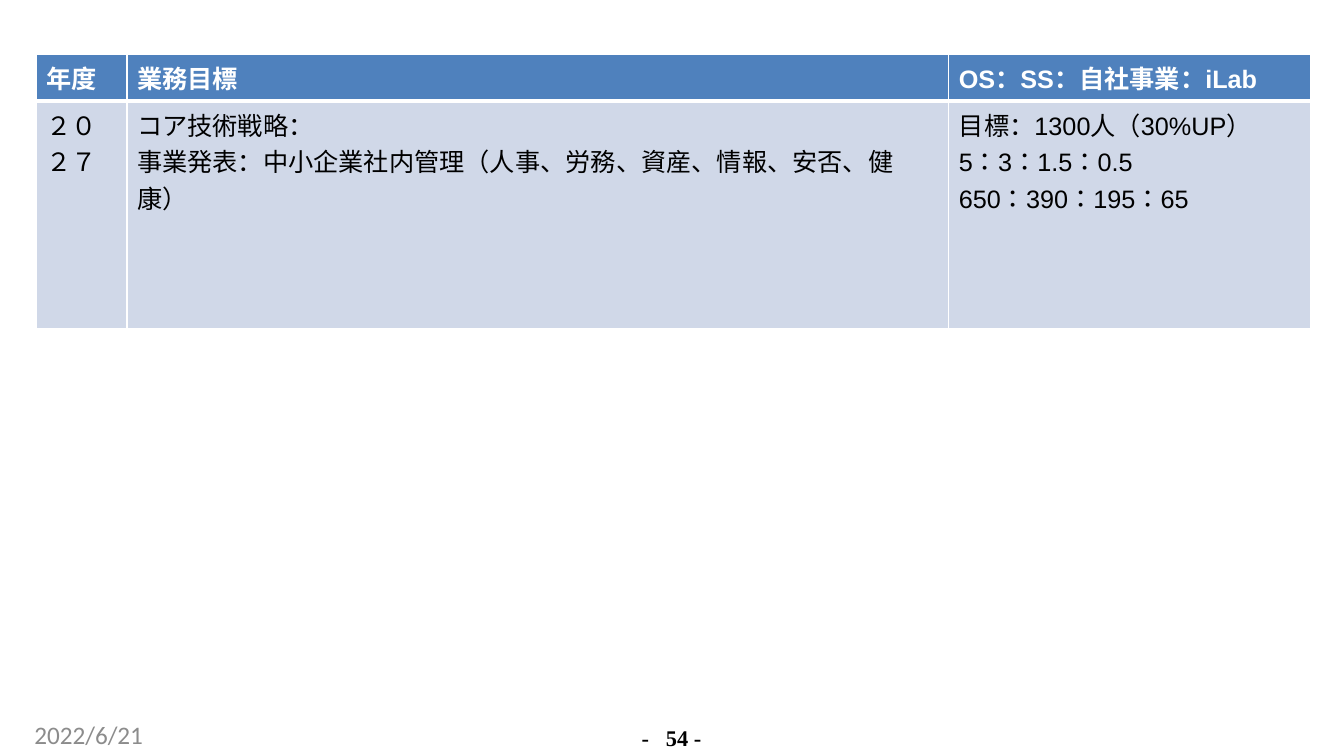
"""Build the business goal table slide for fiscal 2027."""
import pptx
import pptx.dml.color
import pptx.enum.text
import pptx.oxml
import pptx.oxml.ns
import pptx.util

Inches = pptx.util.Inches
Pt = pptx.util.Pt
RGBColor = pptx.dml.color.RGBColor

HEADER = ["年度", "業務目標", "OS：SS：自社事業：iLab"]
GOALS = [
    "２０２７",
    "コア技術戦略：\n事業発表：中小企業社内管理（人事、労務、資産、情報、安否、健康）",
    "目標：1300人（30%UP）\n5：3：1.5：0.5\n650：390：195：65",
]
COLUMN_WIDTHS = [0.9, 8.15, 3.59]
ROW_HEIGHTS = [0.46, 2.26]
DATE = "2022/6/21"
PAGE_NUMBER = "-\t54 -"

WHITE = RGBColor(0xFF, 0xFF, 0xFF)
BLACK = RGBColor(0, 0, 0)
GRAY = RGBColor(0x8C, 0x8C, 0x8C)
BLUE = RGBColor(0x4F, 0x81, 0xBD)
PALE_BLUE = RGBColor(0xD0, 0xD8, 0xE8)

ROW_STYLES = [
    {"fill": BLUE, "color": WHITE, "bold": True, "borders": {"L": 1, "R": 1, "T": 1, "B": 3}},
    {"fill": PALE_BLUE, "color": BLACK, "bold": False, "borders": {"L": 1, "R": 1, "T": 3, "B": 1}},
]


def add_element(parent, tag, content="", position=None):
    namespace = pptx.oxml.ns.nsdecls("a")
    name = tag.split()[0]
    element = pptx.oxml.parse_xml(f"<a:{tag} {namespace}>{content}</a:{name}>")
    parent.insert(len(parent) if position is None else position, element)


def write_text(frame, text, size=18, font="Arial", color=BLACK, bold=False):
    for index, line in enumerate(text.split("\n")):
        para = frame.paragraphs[0] if index == 0 else frame.add_paragraph()
        span = para.add_run()
        span.text = line
        span.font.size = Pt(size)
        span.font.name = font
        span.font.bold = bold
        span.font.color.rgb = color
        add_element(span.font._element, 'ea typeface="Noto Sans CJK JP"')


def add_text_box(page, left, top, width, height, text, **style):
    frame = page.shapes.add_textbox(
        Inches(left), Inches(top), Inches(width), Inches(height)).text_frame
    frame.word_wrap = True
    frame.margin_left = frame.margin_right = frame.margin_top = frame.margin_bottom = 0
    write_text(frame, text, **style)
    return frame.paragraphs[0]


def style_cell(cell, text, fill, color, bold, borders):
    cell.fill.solid()
    cell.fill.fore_color.rgb = fill
    write_text(cell.text_frame, text, color=color, bold=bold)
    properties = cell._tc.get_or_add_tcPr()
    for position, (side, width) in enumerate(borders.items()):
        add_element(properties, f'ln{side} w="{Pt(width)}"',
                    f'<a:solidFill><a:srgbClr val="{WHITE}"/></a:solidFill>', position)


def add_goal_table(page):
    rows = [HEADER, GOALS]
    table = page.shapes.add_table(
        len(rows), len(HEADER), Inches(0.36), Inches(0.54),
        Inches(sum(COLUMN_WIDTHS)), Inches(sum(ROW_HEIGHTS))).table
    for column, width in zip(table.columns, COLUMN_WIDTHS):
        column.width = Inches(width)
    for row, height, texts, style in zip(table.rows, ROW_HEIGHTS, rows, ROW_STYLES):
        row.height = Inches(height)
        for cell, text in zip(row.cells, texts):
            style_cell(cell, text, **style)


def main():
    deck = pptx.Presentation()
    deck.slide_width, deck.slide_height = Inches(13.33), Inches(7.5)
    page = deck.slides.add_slide(deck.slide_layouts[6])
    add_goal_table(page)
    add_text_box(page, 0.34, 7.14, 3.07, 0.3, DATE, font="Calibri", color=GRAY)
    number = add_text_box(page, 6.23, 7.19, 0.86, 0.25, PAGE_NUMBER,
                          size=16, font="Times New Roman", bold=True)
    add_element(number._p.get_or_add_pPr(), "tabLst",
                f'<a:tab pos="{Inches(0.24)}" algn="l"/>')
    number.alignment = pptx.enum.text.PP_ALIGN.CENTER
    number.line_spacing = Pt(18.4)
    deck.save("out.pptx")


if __name__ == "__main__":
    main()
